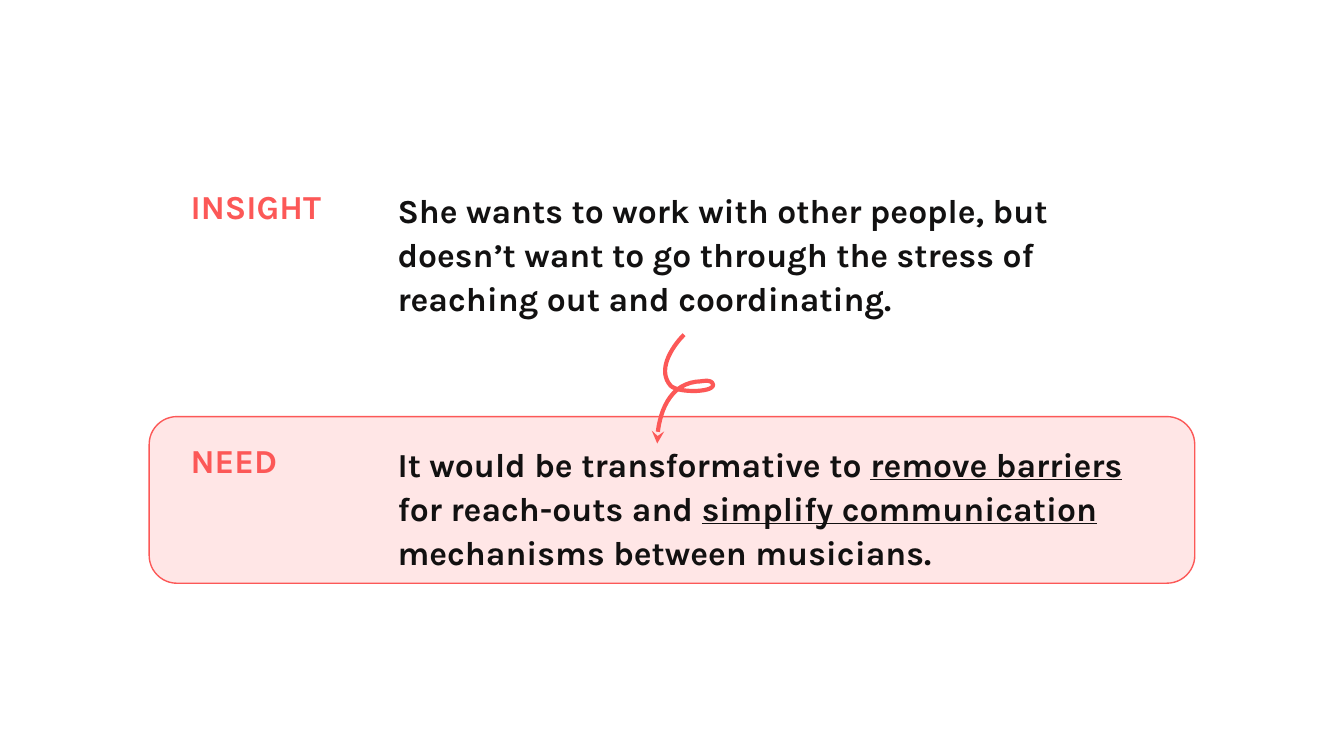
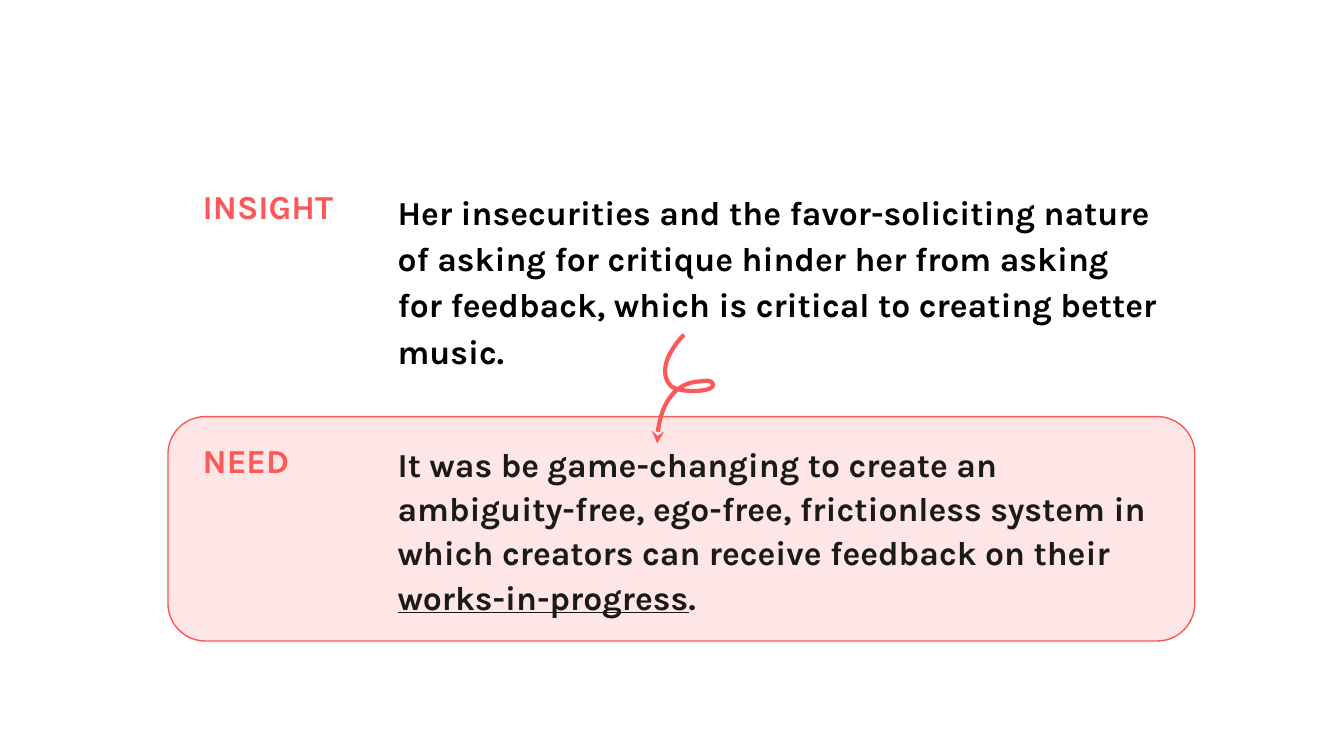
from lxml import etree
from pptx import Presentation
from pptx import util as u
from pptx.dml.color import RGBColor
from pptx.enum import shapes, text
from pptx.oxml import ns

FONT = "Karla"
TEXT_SIZE = u.Pt(18)
WHITE = RGBColor(0xFF, 0xFF, 0xFF)
CORAL = RGBColor(0xFC, 0x58, 0x57)
BLUSH = RGBColor(0xFF, 0xDE, 0xDE)
BLACK = RGBColor(0x00, 0x00, 0x00)
INK = RGBColor(0x12, 0x11, 0x11)
CHARCOAL = RGBColor(0x1A, 0x1A, 0x1A)

INSIGHT_TOP = 1.28
NEED_TOP = 3.1
NEED_PADDING = 0.07
PANEL_RIGHT = 8.89
STATEMENT_LEFT = 2.86
STATEMENT_SIZE = (5.86, 0.92)
LABEL_SIZE = (1.79, 1.05)

ARROW_LEFT, ARROW_TOP = 4.89, 2.49
# Cubic Bezier segments, in inches from the arrow's top left corner
ARROW_START = (0.2, 0)
ARROW_CURVES = [
    ((0.1, 0.1), (0, 0.27), (0.1, 0.38)),
    ((0.16, 0.44), (0.46, 0.43), (0.41, 0.36)),
    ((0.39, 0.33), (0.33, 0.35), (0.29, 0.35)),
    ((0.06, 0.38), (0, 0.64), (0, 0.81)),
]
STEPS_PER_CURVE = 16


def add_text(slide, left, top, size, runs, color, line_spacing=1.0):
    """Add bold text from (words, underlined) pairs."""
    box = slide.shapes.add_textbox(u.Inches(left), u.Inches(top), *map(u.Inches, size))
    frame = box.text_frame
    frame.word_wrap = True
    frame.vertical_anchor = text.MSO_ANCHOR.TOP
    frame.margin_left = frame.margin_right = u.Inches(0.1)
    frame.margin_top = frame.margin_bottom = u.Inches(0.1)
    paragraph = frame.paragraphs[0]
    paragraph.line_spacing = line_spacing
    for words, underlined in runs:
        run = paragraph.add_run()
        run.text = words
        run.font.name = FONT
        run.font.size = TEXT_SIZE
        run.font.bold = True
        run.font.underline = underlined
        run.font.color.rgb = color


def add_statement(slide, label, label_left, top, runs, color, line_spacing):
    """Add a coral label with its statement to the right."""
    add_text(slide, STATEMENT_LEFT, top, STATEMENT_SIZE, runs, color, line_spacing)
    add_text(slide, label_left, top, LABEL_SIZE, [(label, False)], CORAL)


def add_need_panel(slide, left, height):
    panel = slide.shapes.add_shape(
        shapes.MSO_SHAPE.ROUNDED_RECTANGLE,
        u.Inches(left), u.Inches(NEED_TOP),
        u.Inches(PANEL_RIGHT - left), u.Inches(height),
    )
    panel.shadow.inherit = False
    panel.adjustments[0] = 0.167
    panel.fill.solid()
    panel.fill.fore_color.rgb = BLUSH
    color = panel.fill._xPr.find(ns.qn("a:solidFill")).find(ns.qn("a:srgbClr"))
    etree.SubElement(color, ns.qn("a:alpha"), val="74000")
    panel.line.color.rgb = CORAL
    panel.line.width = u.Pt(0.75)


def curve_points(start, curves):
    """Yield points along joined cubic Bezier segments."""
    for first, second, end in curves:
        for step in range(1, STEPS_PER_CURVE + 1):
            t = step / STEPS_PER_CURVE
            s = 1 - t
            yield tuple(
                s**3 * a + 3 * s * s * t * b + 3 * s * t * t * c + t**3 * d
                for a, b, c, d in zip(start, first, second, end)
            )
        start = end


def add_loop_arrow(slide, left, top):
    def place(point):
        return u.Inches(left + point[0]), u.Inches(top + point[1])

    builder = slide.shapes.build_freeform(*place(ARROW_START))
    points = [place(point) for point in curve_points(ARROW_START, ARROW_CURVES)]
    builder.add_line_segments(points, close=False)
    arrow = builder.convert_to_shape()
    arrow.shadow.inherit = False
    arrow.fill.background()
    arrow.line.color.rgb = CORAL
    arrow.line.width = u.Pt(2.25)
    line = arrow.line._get_or_add_ln()
    etree.SubElement(line, ns.qn("a:round"))
    etree.SubElement(line, ns.qn("a:tailEnd"), type="stealth")


def add_insight_slide(presentation, label_left, panel_left, panel_height,
                      insight, insight_color, insight_spacing, need, need_color):
    slide = presentation.slides.add_slide(presentation.slide_layouts[6])
    slide.background.fill.solid()
    slide.background.fill.fore_color.rgb = WHITE
    add_statement(slide, "INSIGHT", label_left, INSIGHT_TOP,
                  [(insight, False)], insight_color, insight_spacing)
    add_need_panel(slide, panel_left, panel_height)
    add_statement(slide, "NEED", label_left, NEED_TOP + NEED_PADDING,
                  need, need_color, 1.1)
    add_loop_arrow(slide, ARROW_LEFT, ARROW_TOP)


def main():
    presentation = Presentation()
    presentation.slide_width = u.Inches(10)
    presentation.slide_height = u.Inches(10 * 9 / 16)
    add_insight_slide(
        presentation, label_left=1.32, panel_left=1.11, panel_height=1.24,
        insight="She wants to work with other people, but doesn’t want to go "
                "through the stress of reaching out and coordinating.",
        insight_color=INK, insight_spacing=1.1,
        need=[
            ("It would be transformative to ", False),
            ("remove barriers ", True),
            ("for reach-outs and ", False),
            ("simplify communication ", True),
            ("mechanisms between musicians.", False),
        ],
        need_color=INK,
    )
    add_insight_slide(
        presentation, label_left=1.41, panel_left=1.25, panel_height=1.67,
        insight="Her insecurities and the favor-soliciting nature of asking for "
                "critique hinder her from asking for feedback, which is critical "
                "to creating better music.",
        insight_color=BLACK, insight_spacing=1.15,
        need=[
            ("It was be game-changing to create an ambiguity-free, ego-free, "
             "frictionless system in which creators can receive feedback on their ", False),
            ("works-in-progress", True),
            (".", False),
        ],
        need_color=CHARCOAL,
    )
    presentation.save("out.pptx")


if __name__ == "__main__":
    main()
